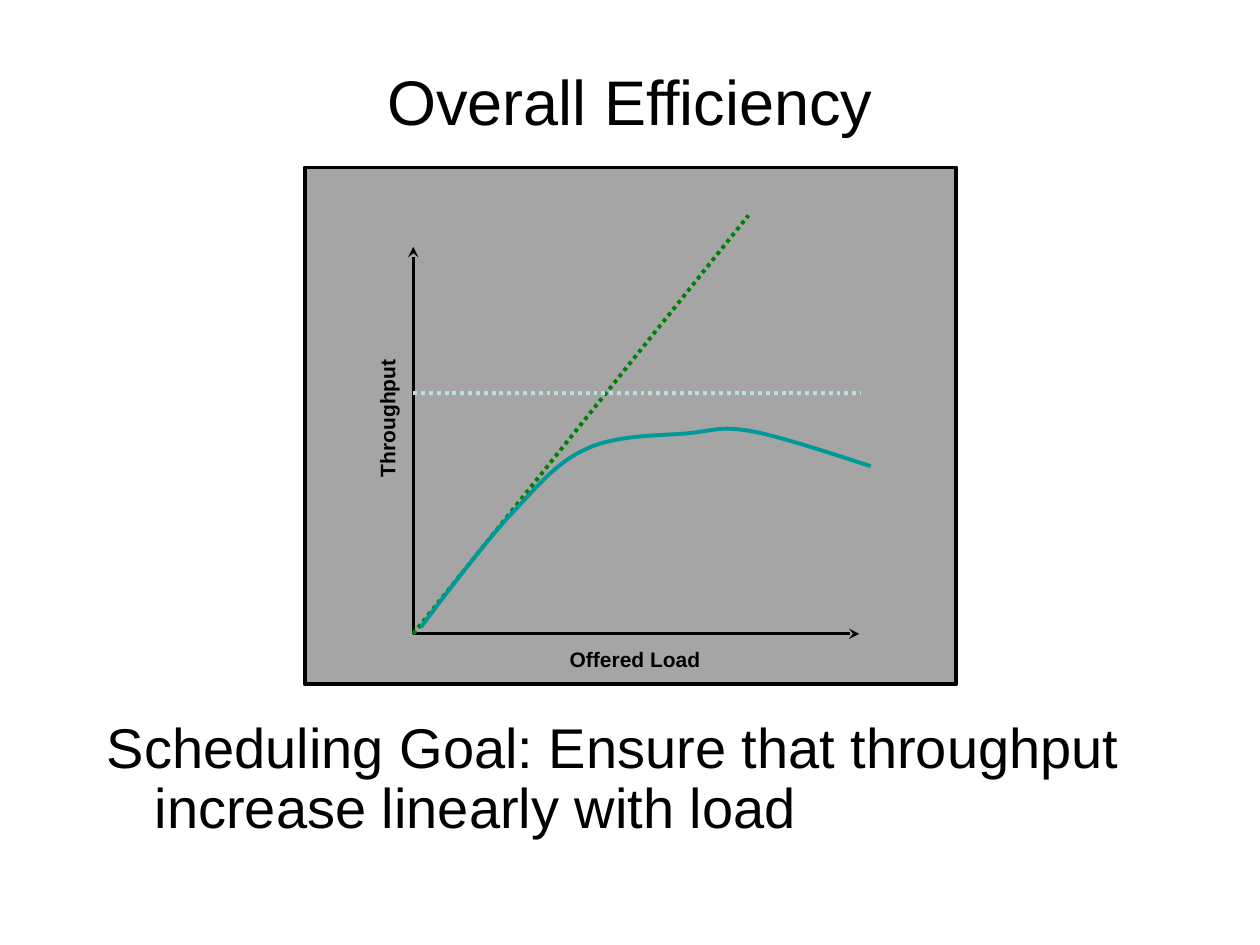
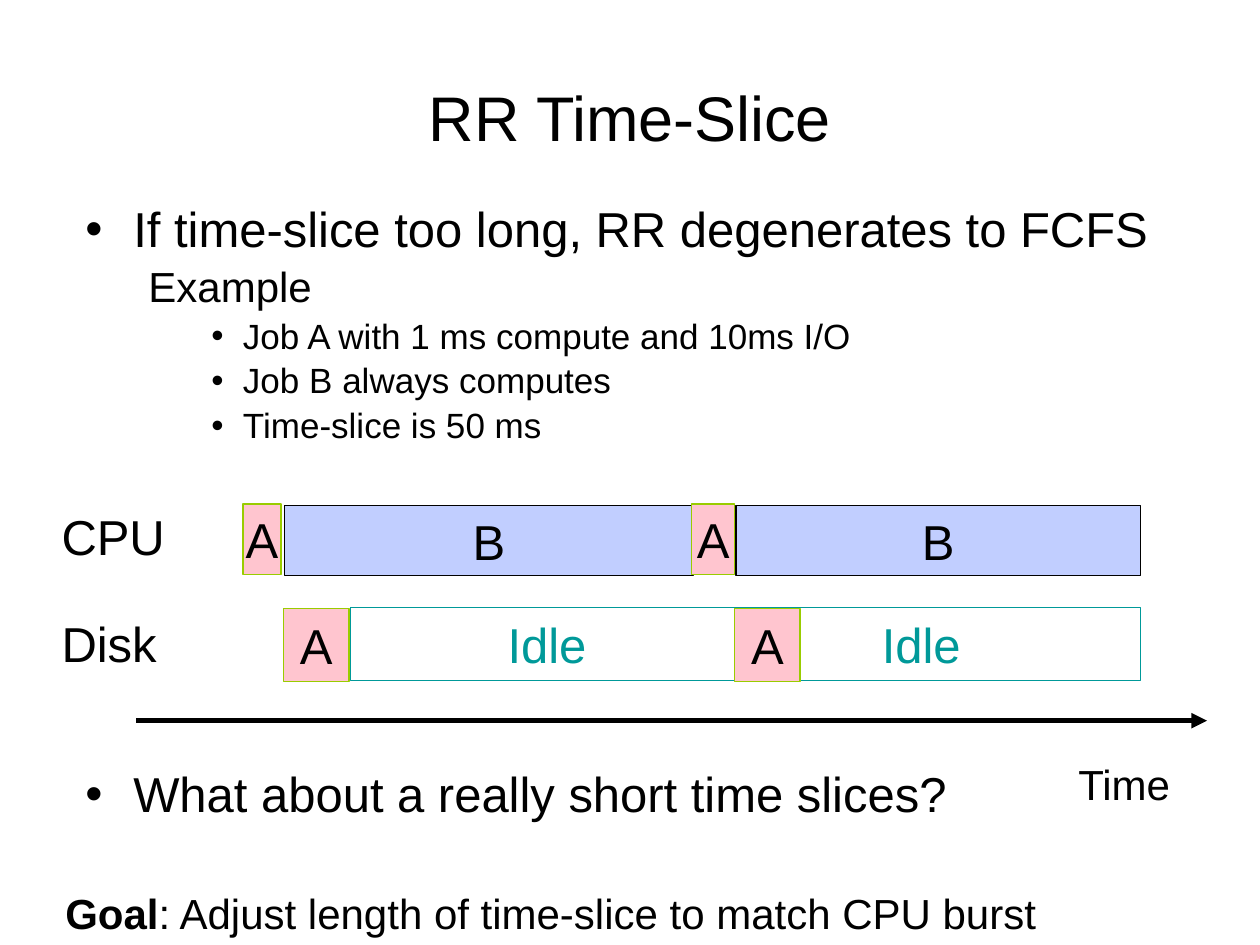
from dataclasses import dataclass

from lxml.etree import SubElement
from pptx import Presentation
from pptx.dml.color import RGBColor
from pptx.enum.dml import MSO_LINE
from pptx.enum.shapes import MSO_CONNECTOR, MSO_SHAPE
from pptx.enum.text import MSO_ANCHOR as Anchor, MSO_AUTO_SIZE as Fit, PP_ALIGN as Align
from pptx.oxml.ns import qn
from pptx.util import Inches, Pt

FONT = "Arial"
COLORS = {
    "ink": "000000",
    "panel": "808080",
    "ideal": "008000",
    "limit": "BBE0E3",
    "teal": "009999",
    "job_a": "FFC5CF",
    "job_a_edge": "99CC00",
    "job_b": "C1CEFF",
}


@dataclass
class Box:
    left: float
    top: float
    width: float
    height: float

    def inside(self, x, y, width, height):
        """Box placed relative to this one."""
        return Box(self.left + x, self.top + y, width, height)

    def point(self, x, y):
        return Inches(self.left + x), Inches(self.top + y)

    def lengths(self):
        return [Inches(n) for n in (self.left, self.top, self.width, self.height)]


def rgb(name):
    return RGBColor.from_string(COLORS[name])


def write(frame, text, size=28, color="ink", bold=False, lead="", align=Align.LEFT,
          bullet=False, level=0, margin=0, hang=0, spacing=None, before=0):
    """Write one paragraph; lead is a bold opening run."""
    para = frame.paragraphs[0] if not frame.text else frame.add_paragraph()
    properties = para._p.get_or_add_pPr()
    properties.set("marL", str(Inches(margin)))
    properties.set("indent", str(-Inches(hang)))
    if bullet:
        SubElement(properties, qn("a:buFont"), typeface=FONT)
        SubElement(properties, qn("a:buChar"), char="•")
    else:
        SubElement(properties, qn("a:buNone"))
    para.level, para.alignment = level, align
    para.space_before = Pt(before)
    if spacing:
        para.line_spacing = spacing
    for words, heavy in ((lead, True), (text, bold)):
        if words:
            span = para.add_run()
            span.text = words
            font = span.font
            font.name, font.size, font.bold = FONT, Pt(size), heavy
            font.color.rgb = rgb(color)


def add_text(page, box, text, wrap=True, anchor=Anchor.TOP, rotation=0, **style):
    shape = page.shapes.add_textbox(*box.lengths())
    shape.rotation = rotation
    frame = shape.text_frame
    frame.word_wrap, frame.vertical_anchor = wrap, anchor
    write(frame, text, **style)
    return frame


def add_rect(page, box, fill, edge, width=0.75, text=""):
    shape = page.shapes.add_shape(MSO_SHAPE.RECTANGLE, *box.lengths())
    shape.shadow.inherit = False
    if fill:
        shape.fill.solid()
        shape.fill.fore_color.rgb = rgb(fill)
    else:
        shape.fill.background()
    shape.line.color.rgb, shape.line.width = rgb(edge), Pt(width)
    if text:
        frame = shape.text_frame
        frame.word_wrap, frame.vertical_anchor = False, Anchor.MIDDLE
        write(frame, text, align=Align.CENTER)
    return shape


def add_line(page, start, end, width, color="ink", dash=None, arrow=None):
    line = page.shapes.add_connector(MSO_CONNECTOR.STRAIGHT, *start, *end)
    line.line.color.rgb, line.line.width = rgb(color), Pt(width)
    if dash:
        line.line.dash_style = dash
    if arrow:
        SubElement(line.line._get_or_add_ln(), qn("a:tailEnd"), type=arrow)
    SubElement(line._element.spPr, qn("a:effectLst"))


def add_curve(page, points, color, width):
    """Draw cubic curves through a start point and triples of control points."""
    start, *rest = points
    builder = page.shapes.build_freeform(*start)
    builder.add_line_segments(rest, close=False)
    curve = builder.convert_to_shape()
    segments = list(curve._element.iter(qn("a:lnTo")))
    for first, second, third in zip(*[iter(segments)] * 3):
        first.tag = qn("a:cubicBezTo")
        for segment in (second, third):
            first.append(segment[0])
            segment.getparent().remove(segment)
    curve.shadow.inherit = False
    curve.fill.background()
    curve.line.color.rgb, curve.line.width = rgb(color), Pt(width)


def add_page(deck, title, top):
    page = deck.slides.add_slide(deck.slide_layouts[5])
    shape = page.shapes.title
    shape.left, shape.top, shape.width, shape.height = Box(0.5, top, 9, 1.25).lengths()
    frame = shape.text_frame
    frame.auto_size, frame.vertical_anchor = Fit.NONE, Anchor.MIDDLE
    write(frame, title, size=36, align=Align.CENTER)
    return page


def throughput_plot(page, box):
    # Panel
    panel = add_rect(page, box, "panel", "ink", 2.25)
    shade = panel._element.spPr.find(qn("a:solidFill"))[0]
    SubElement(shade, qn("a:alpha"), val="70000")

    # Axes, ideal line and limit
    origin = box.point(0.86, 3.7)
    dots = MSO_LINE.ROUND_DOT
    add_line(page, origin, box.point(0.86, 0.63), 1.5, arrow="stealth")
    add_line(page, origin, box.point(4.4, 3.7), 1.5, arrow="stealth")
    add_line(page, origin, box.point(3.52, 0.38), 2.25, "ideal", dots)
    add_line(page, box.point(0.86, 1.79), box.point(4.41, 1.79), 2.25, "limit", dots)

    # Axis names
    label = dict(size=12, bold=True, align=Align.CENTER, wrap=False, anchor=Anchor.BOTTOM)
    add_text(page, box.inside(2, 3.75, 1.24, 0.3), "Offered Load", **label)
    add_text(page, box.inside(0.08, 1.84, 1.14, 0.3), "Throughput", rotation=270, **label)

    # Measured throughput
    measured = [
        (0.92, 3.65),
        (1.15, 3.34), (1.39, 3.03), (1.6, 2.79),
        (1.82, 2.56), (1.98, 2.35), (2.22, 2.24),
        (2.46, 2.12), (2.81, 2.13), (3.03, 2.11),
        (3.25, 2.09), (3.28, 2.05), (3.53, 2.09),
        (3.77, 2.13), (4.33, 2.32), (4.49, 2.37),
    ]
    add_curve(page, [box.point(x, y) for x, y in measured], "teal", 2.25)


def schedule(page, box):
    period = 3.58
    disk_top = 0.85

    # Row names
    add_text(page, box.inside(0, 0, 1.4, 0.57), "CPU")
    add_text(page, box.inside(0, disk_top, 0.96, 0.57), "Disk", wrap=False)

    # CPU and disk bursts
    add_rect(page, box.inside(2.39, disk_top, 6.27, 0.58), None, "teal")
    for turn, (b_width, a_left, a_width) in enumerate([(3.24, 1.54, 0.3), (3.21, 5.1, 0.34)]):
        start = 1.87 + turn * period
        add_rect(page, box.inside(start, 0.04, b_width, 0.56), "job_b", "ink", text="B")
        bursts = [(a_left, 0.03, a_width, 0.56), (start - 0.01, disk_top + 0.01, 0.52, 0.58)]
        for burst in bursts:
            add_rect(page, box.inside(*burst), "job_a", "job_a_edge", text="A")
    for left in (3.54, 6.51):
        add_text(page, box.inside(left, disk_top + 0.01, 1.56, 0.57), "Idle", color="teal")

    # Time axis
    add_line(page, box.point(0.69, 1.75), box.point(9.19, 1.75), 3, arrow="triangle")
    add_text(page, box.inside(8.07, 2, 0.94, 0.5), "Time", size=24, wrap=False)


def bullet_list(page, box):
    top_level = dict(bullet=True, margin=0.38, hang=0.38, spacing=0.9)
    frame = add_text(page, box.inside(0, 0, box.width, 2.17),
                     "If time-slice too long, RR degenerates to FCFS", **top_level)
    write(frame, "Example", size=24, level=1, margin=0.81, hang=0.31, spacing=0.9, before=4.8)
    for fact in ("Job A with 1 ms compute and 10ms I/O", "Job B always computes",
                 "Time-slice is 50 ms"):
        write(frame, fact, size=20, bullet=True, level=2, margin=1.25, hang=0.25,
              spacing=0.9, before=4)
    add_text(page, box.inside(0, 4.48, 7.5, 0.57),
             "What about a really short time slices?", **top_level)


def efficiency_page(deck):
    page = add_page(deck, "Overall Efficiency", 0.17)
    add_text(page, Box(0.75, 5.67, 8.58, 1.58),
             "Scheduling Goal: Ensure that throughput increase linearly with load",
             size=32, margin=0.38, hang=0.38, spacing=0.89)
    throughput_plot(page, Box(2.42, 1.33, 5.17, 4.1))


def time_slice_page(deck):
    page = add_page(deck, "RR Time-Slice", 0.3)
    bullet_list(page, Box(0.58, 1.58, 8.92, 5.05))
    schedule(page, Box(0.39, 3.97, 9.19, 2.5))
    add_text(page, Box(0.42, 7.04, 7.93, 0.46),
             ": Adjust length of time-slice to match CPU burst",
             lead="Goal", size=24, spacing=0.9, wrap=False)


def main():
    deck = Presentation()
    deck.slide_width, deck.slide_height = Inches(10), Inches(7.5)
    efficiency_page(deck)
    time_slice_page(deck)
    deck.save("out.pptx")


if __name__ == "__main__":
    main()
